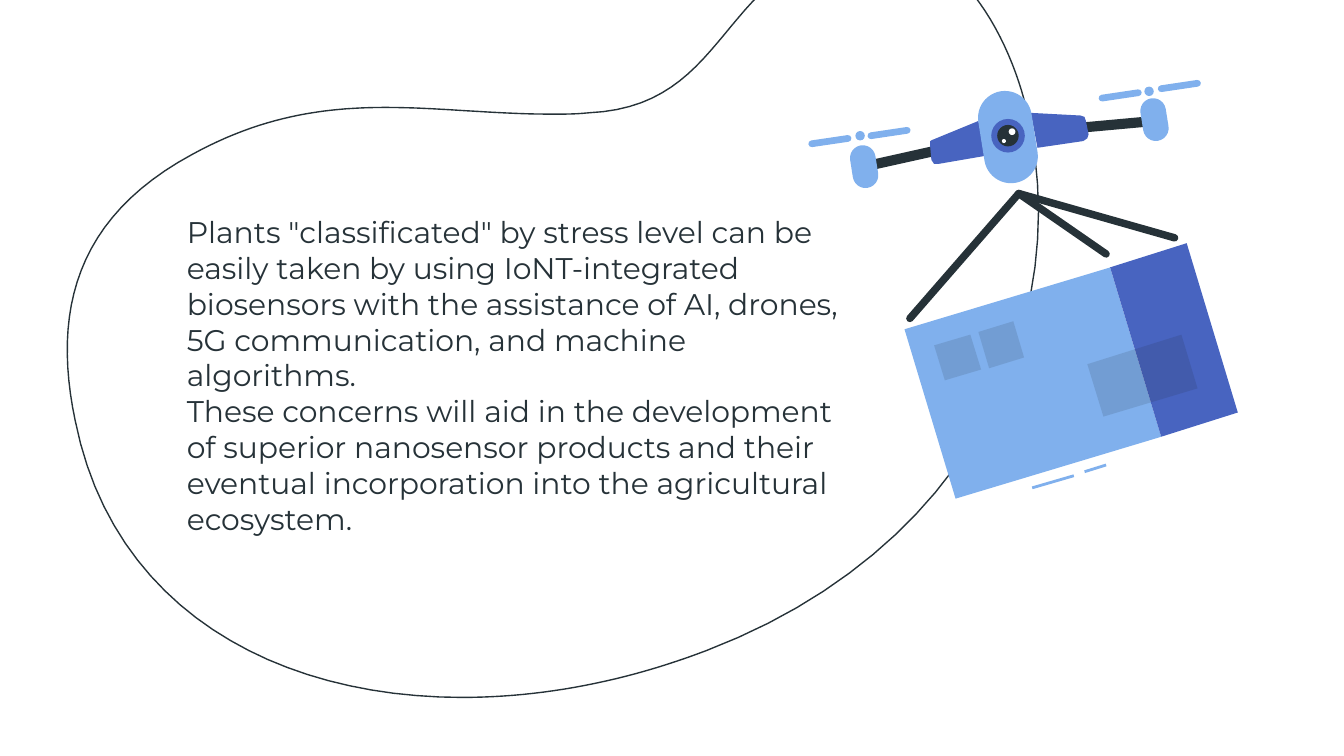
from pptx import Presentation
from pptx.dml.color import RGBColor
from pptx.enum.shapes import MSO_CONNECTOR, MSO_SHAPE
from pptx.enum.text import MSO_ANCHOR, MSO_AUTO_SIZE, PP_ALIGN
from pptx.oxml.ns import qn
from pptx.util import Inches, Pt
from lxml import etree

STRAIGHT = MSO_CONNECTOR.STRAIGHT
PILL, OVAL = MSO_SHAPE.ROUNDED_RECTANGLE, MSO_SHAPE.OVAL

COLORS = {"ink": "263238", "sky": "80B0ED", "blue": "4864C0",
          "shade": "1A2327", "white": "FFFFFF"}
FONT = "Montserrat"
TILT = -9  # degrees, for the drone body and its motors
STEPS = 24  # points per curve

TEXT = [
    'Plants "classificated" by stress level can be easily taken by using '
    "IoNT-integrated biosensors with the assistance of AI, drones, "
    "5G communication, and machine algorithms.",
    "These concerns will aid in the development of superior nanosensor "
    "products and their eventual incorporation into the agricultural ecosystem.",
]

BLOB_START = (6.51, -0.44)
BLOB_CURVES = [  # control, control, end
    ((6.36, -0.44), (6.19, -0.4), (6.01, -0.31)),
    ((5.34, 0.04), (5.29, 0.8), (4.38, 0.84)),
    ((4.29, 0.85), (4.2, 0.85), (4.11, 0.85)),
    ((3.67, 0.85), (3.27, 0.8), (2.87, 0.8)),
    ((2.4, 0.8), (1.94, 0.87), (1.43, 1.15)),
    ((0.56, 1.62), (0.39, 2.32), (0.56, 3.13)),
    ((0.84, 4.53), (2.05, 5.19), (3.44, 5.19)),
    ((4.04, 5.19), (4.66, 5.07), (5.26, 4.84)),
    ((7.17, 4.11), (8.05, 2.42), (7.62, 0.74)),
    ((7.48, 0.23), (7.12, -0.44), (6.51, -0.44)),
]

PARCEL = [  # points, colour, opacity in percent
    ([(8.26, 1.99), (6.73, 2.45), (7.11, 3.71), (8.64, 3.25)], "sky", 100),
    ([(8.83, 1.81), (8.26, 1.99), (8.64, 3.25), (9.21, 3.07)], "blue", 100),
    ([(8.79, 2.49), (8.09, 2.71), (8.21, 3.1), (8.91, 2.89)], "shade", 13),
    ([(7.22, 2.49), (6.95, 2.57), (7.03, 2.83), (7.3, 2.75)], "shade", 13),
    ([(7.54, 2.39), (7.28, 2.47), (7.36, 2.74), (7.62, 2.66)], "shade", 13),
]
WINGS = [
    [(7.67, 0.84), (7.72, 1.1), (8.06, 1.05), (8.09, 1.03), (8.1, 1),
     (8.08, 0.9), (8.07, 0.87), (8.04, 0.86)],
    [(7.28, 0.9), (6.94, 1.04), (6.92, 1.05), (6.92, 1.08), (6.93, 1.19),
     (6.95, 1.22), (6.98, 1.22), (7.33, 1.16)],
]
ARMS = [((8.04, 0.95), (8.59, 0.9)), ((6.43, 1.24), (6.97, 1.12))]
MOTORS = [(8.59, 0.89), (6.43, 1.24)]
HUBS = [(8.55, 0.68), (6.4, 1.01)]
BLADES = [(8.64, 0.66), (8.2, 0.73), (6.04, 1.07), (6.48, 1.01)]  # left ends
BLADE = (0.27, -0.04)
EYE = [  # centre, diameter, colour
    ((7.5, 1.01), 0.25, "blue"), ((7.5, 1.01), 0.16, "ink"),
    ((7.53, 0.98), 0.05, "white"), ((7.47, 1.05), 0.03, "white"),
]
HOOK = (7.58, 1.44)
ROPE_ENDS = [(8.74, 1.77), (8.23, 1.89), (6.77, 2.37)]
DASHES = [((7.68, 3.63), (7.99, 3.54)), ((8.07, 3.51), (8.23, 3.46))]

prs = Presentation()
prs.slide_width = Inches(10)
prs.slide_height = prs.slide_width * 9 // 16
s = prs.slides.add_slide(prs.slide_layouts[0])
title = s.shapes.title._element
title.getparent().remove(title)


def rgb(name):
    return RGBColor.from_string(COLORS[name])


def paint(sp, color, opacity=100):
    sp.shadow.inherit = False
    sp.line.fill.background()
    sp.fill.solid()
    sp.fill.fore_color.rgb = rgb(color)
    if opacity < 100:
        clr = sp._element.spPr.find(".//" + qn("a:srgbClr"))
        etree.SubElement(clr, qn("a:alpha"), val=str(opacity * 1000))


def outline(points):
    pts = [(Inches(x), Inches(y)) for x, y in points]
    builder = s.shapes.build_freeform(*pts[0])
    builder.add_line_segments(pts[1:], close=True)
    return builder.convert_to_shape()


def centred(kind, center, w, h, color, rotation=0):
    x, y = center
    sp = s.shapes.add_shape(kind, Inches(x - w / 2), Inches(y - h / 2),
                            Inches(w), Inches(h))
    if kind == PILL:
        sp.adjustments[0] = 0.5
    sp.rotation = rotation
    paint(sp, color)


def stroke(start, end, color, width, cap="rnd"):
    c = s.shapes.add_connector(STRAIGHT, *(Inches(v) for v in start + end))
    c.line.color.rgb = rgb(color)
    c.line.width = Pt(width)
    spPr = c._element.spPr
    spPr.find(qn("a:ln")).set("cap", cap)
    etree.SubElement(spPr, qn("a:effectLst"))


def curve_points(start, curves):
    """Sample a chain of cubic Bezier curves."""
    pts = [start]
    for c1, c2, end in curves:
        p0 = pts[-1]
        for i in range(1, STEPS + 1):
            t = i / STEPS
            u = 1 - t
            pts.append(tuple(
                u**3 * a + 3 * u * u * t * b + 3 * u * t * t * c + t**3 * d
                for a, b, c, d in zip(p0, c1, c2, end)))
    return pts


blob = outline(curve_points(BLOB_START, BLOB_CURVES))
blob.shadow.inherit = False
blob.fill.background()
blob.line.color.rgb = rgb("ink")
blob.line.width = Pt(0.75)

for start, end in DASHES:
    stroke(start, end, "sky", 1.5, "flat")
for points, color, opacity in PARCEL:
    paint(outline(points), color, opacity)

for start, end in ARMS:
    stroke(start, end, "ink", 5.4, "flat")
for points in WINGS:
    paint(outline(points), "blue")
for center in MOTORS:
    centred(PILL, center, 0.19, 0.32, "sky", TILT)
for center in HUBS:
    centred(OVAL, center, 0.07, 0.07, "sky")
for x, y in BLADES:
    stroke((x, y), (x + BLADE[0], y + BLADE[1]), "sky", 3.6)
centred(PILL, (7.5, 1.02), 0.4, 0.69, "sky", TILT)
for center, size, color in EYE:
    centred(OVAL, center, size, size, color)
for end in ROPE_ENDS:
    stroke(HOOK, end, "ink", 4)

body = s.placeholders[1]
body.left, body.top = Inches(1.29), Inches(1.49)
body.width, body.height = Inches(5.09), Inches(2.65)
tf = body.text_frame
tf.word_wrap = True
tf.auto_size = MSO_AUTO_SIZE.NONE
tf.vertical_anchor = MSO_ANCHOR.TOP
tf.margin_left = tf.margin_right = tf.margin_top = tf.margin_bottom = Inches(0.1)
p = tf.paragraphs[0]
p.alignment = PP_ALIGN.LEFT
p.line_spacing = 1.0
p.space_before, p.space_after = Pt(0), Pt(16)
for i, sentence in enumerate(TEXT):
    if i:
        p.add_line_break()
    r = p.add_run()
    r.text = sentence
    r.font.name, r.font.size = FONT, Pt(16)
    r.font.color.rgb = rgb("ink")

prs.save("out.pptx")
